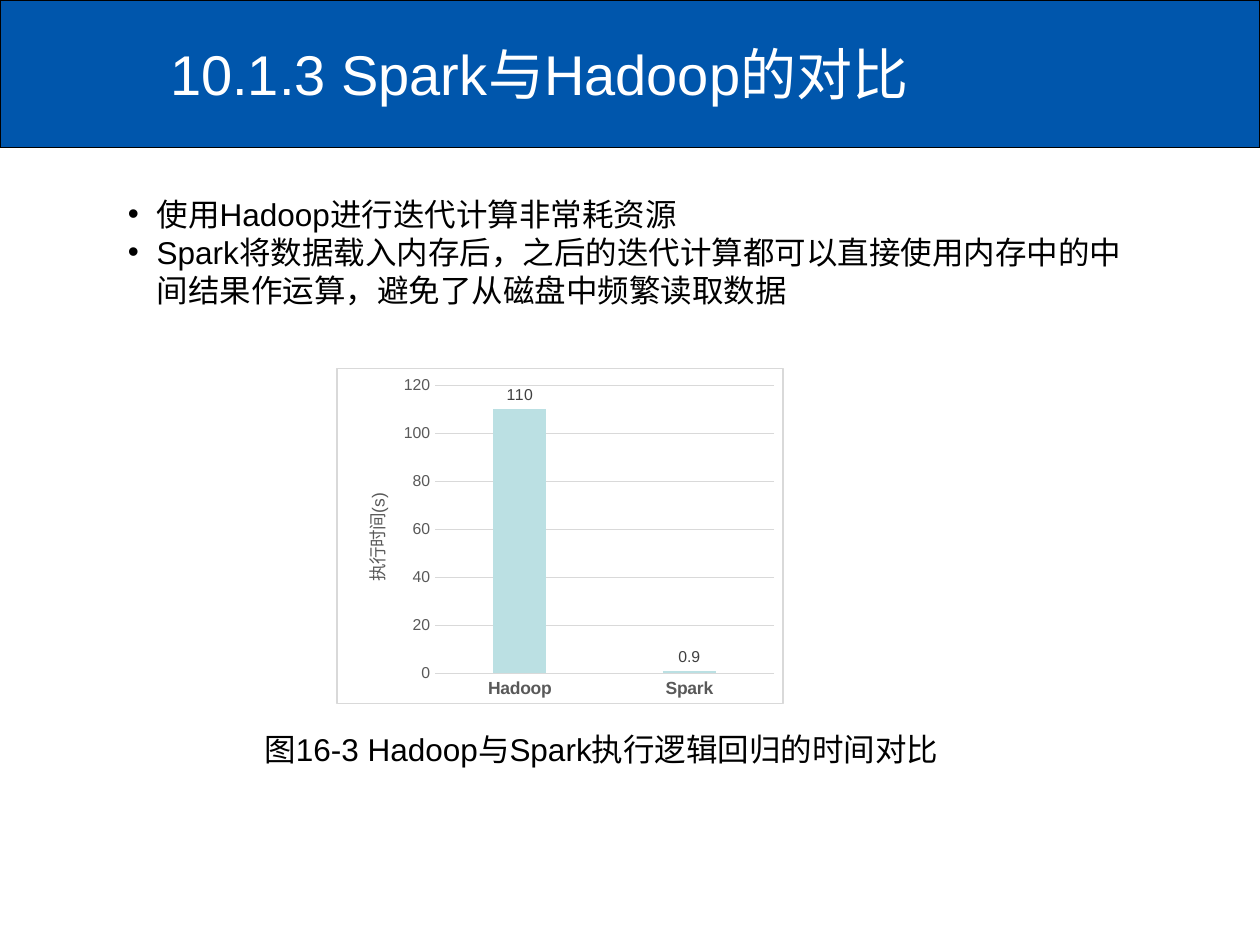
"""Build a slide that compares the run times of Spark and Hadoop."""
from lxml import etree
from pptx import Presentation
from pptx.chart.data import CategoryChartData
from pptx.dml.color import RGBColor
from pptx.enum import chart as ce, shapes, text
from pptx.oxml import parse_xml
from pptx.oxml.ns import nsdecls, qn
from pptx.util import Cm, Pt

BLUE = RGBColor(0x00, 0x56, 0xAC)
TEAL = RGBColor(0xBB, 0xE0, 0xE3)
BLACK = RGBColor(0x00, 0x00, 0x00)
WHITE = RGBColor(0xFF, 0xFF, 0xFF)
DARK = RGBColor(0x40, 0x40, 0x40)
GRAY = RGBColor(0x59, 0x59, 0x59)
PALE = RGBColor(0xD9, 0xD9, 0xD9)


def style(font, size, color, bold=False):
    look = {"name": "Arial", "size": Pt(size), "bold": bold}
    for key, val in look.items():
        setattr(font, key, val)
    font.color.rgb = color


def write(box, lines, size, color, anchor):
    shape = slide.shapes.add_textbox(*map(Cm, box))
    frame = shape.text_frame
    for key, val in {"word_wrap": True, "vertical_anchor": anchor}.items():
        setattr(frame, key, val)
    frame.text = "\n".join(lines)
    for para in frame.paragraphs:
        style(para.runs[0].font, size, color)
    return frame


deck = Presentation()
deck.slide_width, deck.slide_height = Cm(25.4), Cm(19.05)
slide = deck.slides.add_slide(deck.slide_layouts[6])

band = slide.shapes.add_shape(
    shapes.MSO_SHAPE.RECTANGLE, 0, 0, Cm(25.4), Cm(2.97))
band.shadow.inherit = False
band.fill.solid()
band.fill.fore_color.rgb = BLUE
band.line.color.rgb = BLACK
band.line.width = Pt(0.75)

top, mid = text.MSO_ANCHOR.TOP, text.MSO_ANCHOR.MIDDLE
write((3.18, 0.2, 22.22, 2.54), ["10.1.3 Spark与Hadoop的对比"], 32, WHITE, mid)
write((5.08, 14.6, 15.88, 1.02), ["图16-3 Hadoop与Spark执行逻辑回归的时间对比"],
      18, BLACK, top)
points = write((2.33, 3.81, 20.96, 2.57), [
    "使用Hadoop进行迭代计算非常耗资源",
    "Spark将数据载入内存后，之后的迭代计算都可以直接使用内存中的中间结果作运算，避免了从磁盘中频繁读取数据",
], 18, BLACK, top)
for para in points.paragraphs:
    props = para._p.get_or_add_pPr()
    props.set("marL", str(Cm(0.58)))
    props.set("indent", str(Cm(-0.58)))
    etree.SubElement(props, qn("a:buFont"), typeface="Arial")
    etree.SubElement(props, qn("a:buChar"), char="•")

data = CategoryChartData()
data.categories = ["Hadoop", "Spark"]
data.add_series("Series 1", [110, 0.9])
chart = slide.shapes.add_chart(
    ce.XL_CHART_TYPE.COLUMN_CLUSTERED,
    Cm(6.78), Cm(7.42), Cm(9.02), Cm(6.78), data).chart
style(chart.font, 10, BLACK)
chart.has_legend = chart.has_title = False

plot = chart.plots[0]
for key, val in {"gap_width": 219, "overlap": -27, "vary_by_categories": False,
                 "has_data_labels": True}.items():
    setattr(plot, key, val)
bars = plot.series[0].format
bars.fill.solid()
bars.fill.fore_color.rgb = TEAL
tags = plot.data_labels
for key, val in {"show_value": True,
                 "position": ce.XL_LABEL_POSITION.OUTSIDE_END}.items():
    setattr(tags, key, val)
style(tags.font, 9, DARK)

cat, val = chart.category_axis, chart.value_axis
for axis, size, bold in ((cat, 10, True), (val, 9, False)):
    axis.major_tick_mark = axis.minor_tick_mark = ce.XL_TICK_MARK.NONE
    style(axis.tick_labels.font, size, GRAY, bold)
for line in (cat.format.line, val.major_gridlines.format.line):
    line.color.rgb = PALE
    line.width = Pt(0.75)
val.format.line.fill.background()
for key, num in {"minimum_scale": 0, "maximum_scale": 120,
                 "major_unit": 20}.items():
    setattr(val, key, num)
head = val.axis_title.text_frame
head.text = "执行时间(s)"
style(head.paragraphs[0].runs[0].font, 10, GRAY)

space = chart._chartSpace
space.find(qn("c:chart")).addnext(parse_xml(
    f'<c:spPr {nsdecls("c", "a")}>'
    f'<a:solidFill><a:srgbClr val="{WHITE}"/></a:solidFill>'
    f'<a:ln w="{Pt(0.75)}"><a:solidFill><a:srgbClr val="{PALE}"/></a:solidFill>'
    '</a:ln></c:spPr>'))
area = space.find(".//" + qn("c:plotArea"))
for old in area.findall(qn("c:layout")):
    area.remove(old)
frame = etree.Element(qn("c:layout"))
area.insert(0, frame)
spot = etree.SubElement(frame, qn("c:manualLayout"))
for key, num in {"layoutTarget": "inner", "xMode": "edge", "yMode": "edge",
                 "x": 0.22, "y": 0.05, "w": 0.76, "h": 0.86}.items():
    etree.SubElement(spot, qn("c:" + key), val=str(num))

deck.save("out.pptx")
